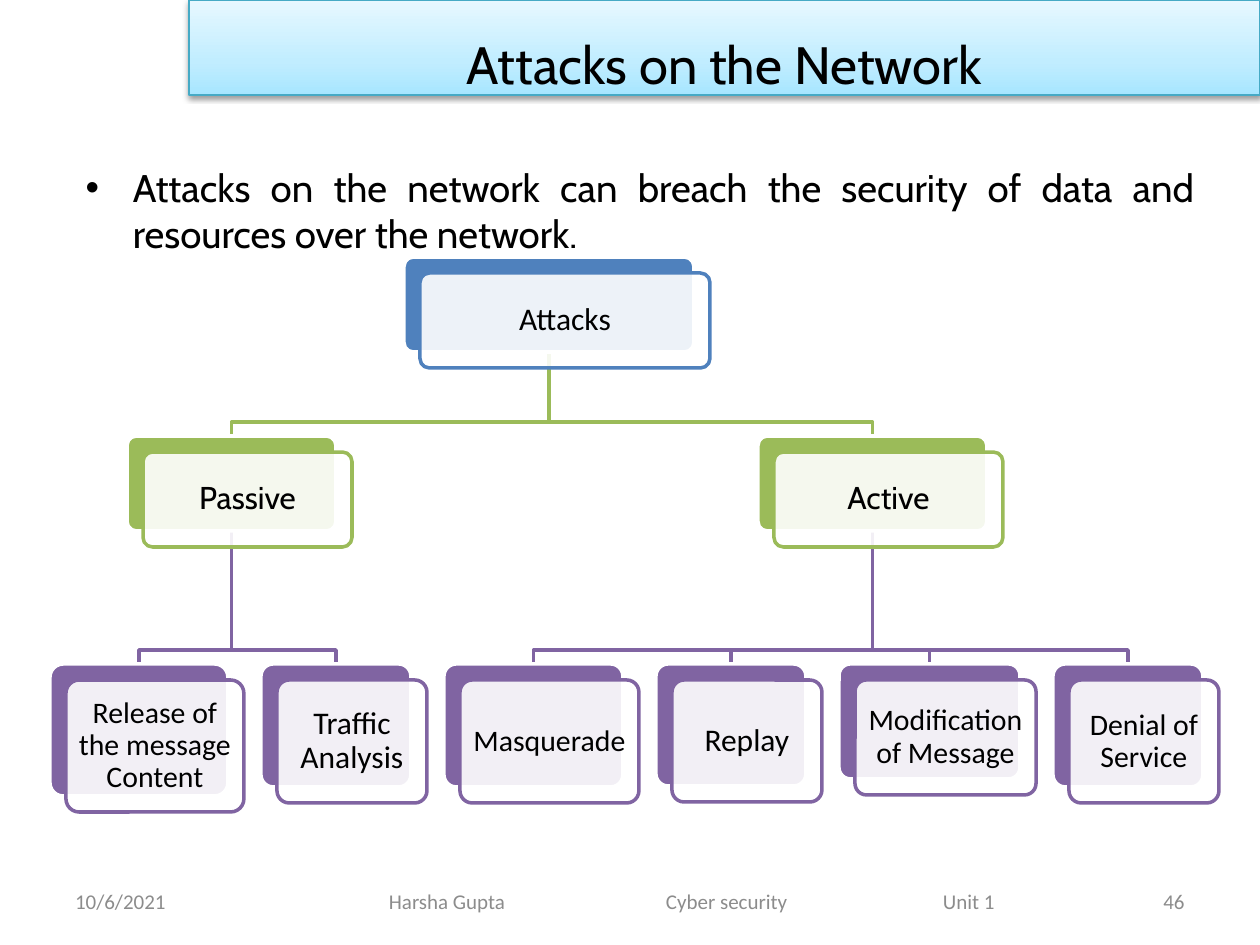
from lxml import etree
from pptx import Presentation
from pptx import util as u
from pptx.dml.color import RGBColor
from pptx.enum import shapes, text
from pptx.oxml import parse_xml
from pptx.oxml.ns import nsdecls, qn

TITLE = "Attacks on the Network"
BODY = "Attacks on the network can breach the security of data and resources over the network."
FOOTER = ["Harsha Gupta", "Cyber security", "Unit 1"]
FOOTER_STEP = 277

# top of each tree level, its colour
LEVELS = [(257, "4F81BD"), (436, "9BBB59"), (664, "8064A2")]
# key: (label, parent, level, left, width, height, size, font)
NODES = {
    "attacks": ("Attacks", None, 0, 404, 290, 95, 18, "Calibri"),
    "passive": ("Passive", "attacks", 1, 127, 209, 95, 18, "Cabin"),
    "active": ("Active", "attacks", 1, 758, 229, 95, 18, "Cabin"),
    "release": ("Release of the message Content", "passive", 2, 50, 178, 132, 17, "Calibri"),
    "traffic": ("Traffic Analysis", "passive", 2, 261, 150, 123, 18, "Calibri"),
    "masquerade": ("Masquerade", "active", 2, 444, 179, 123, 17, "Calibri"),
    "replay": ("Replay", "active", 2, 656, 150, 122, 18, "Calibri"),
    "modification": ("Modification of Message", "active", 2, 839, 181, 115, 17, "Calibri"),
    "denial": ("Denial of Service", "active", 2, 1053, 150, 123, 17, "Calibri"),
}
CARD_SHIFT = 16   # front card against its back card
ELBOW_RISE = 14   # crossbar above the child boxes

prs = Presentation()
prs.slide_width, prs.slide_height = u.Inches(10), u.Inches(7.5)
slide = prs.slides.add_slide(prs.slide_layouts[1])


def px(n):
    return round(n * 914400 / 126)


def rgb(c):
    return RGBColor.from_string(c)


def place(sp, *box):
    sp.left, sp.top, sp.width, sp.height = map(px, box)


def add_run(p, s, size, font="Calibri", color="000000"):
    r = p.add_run()
    r.text = s
    r.font.size, r.font.name = u.Pt(size), font
    r.font.color.rgb = rgb(color)


def add_title():
    sp = slide.shapes.title
    place(sp, 189, 0, 1071, 95)
    spPr = sp._element.spPr
    stops = "".join(f'<a:gs pos="{pos}000"><a:srgbClr val="{c}"/></a:gs>'
                    for pos, c in ((0, "A7E6FF"), (35, "C1EDFF"), (100, "E7F8FF")))
    for xml in (
        f'<a:prstGeom {nsdecls("a")} prst="rect"><a:avLst/></a:prstGeom>',
        f'<a:gradFill {nsdecls("a")} rotWithShape="1"><a:gsLst>{stops}</a:gsLst>'
        '<a:lin ang="16200000" scaled="1"/></a:gradFill>',
    ):
        spPr.append(parse_xml(xml))
    sp.line.color.rgb, sp.line.width = rgb("46AAC5"), u.Pt(0.75)
    spPr.append(parse_xml(
        f'<a:effectLst {nsdecls("a")}><a:outerShdw blurRad="40000" dist="20000" dir="5400000" '
        'rotWithShape="0"><a:srgbClr val="000000"><a:alpha val="38000"/></a:srgbClr>'
        '</a:outerShdw></a:effectLst>'))
    tf = sp.text_frame
    tf.auto_size, tf.vertical_anchor = text.MSO_AUTO_SIZE.NONE, text.MSO_ANCHOR.MIDDLE
    p = tf.paragraphs[0]
    p.alignment, p.line_spacing = text.PP_ALIGN.CENTER, 1.5
    add_run(p, TITLE, 30, "Cabin")


def add_body():
    sp = slide.placeholders[1]
    place(sp, 73, 158, 1134, 669)
    sp.text_frame.auto_size = text.MSO_AUTO_SIZE.NONE
    p = sp.text_frame.paragraphs[0]
    p.alignment = text.PP_ALIGN.JUSTIFY
    p.space_before = u.Pt(0)
    add_run(p, BODY, 22, "Cabin")


def add_footer(left, width, s, align, indent=12, tabs=()):
    sp = slide.shapes.add_textbox(px(left), px(876), px(width), px(50))
    tf = sp.text_frame
    tf.word_wrap, tf.vertical_anchor = True, text.MSO_ANCHOR.MIDDLE
    tf.margin_left = px(indent)
    p = tf.paragraphs[0]
    p.alignment = align
    if tabs:
        tab_list = etree.SubElement(p._p.get_or_add_pPr(), qn("a:tabLst"))
        for t in tabs:
            etree.SubElement(tab_list, qn("a:tab"), pos=str(px(t)), algn="l")
    add_run(p, s, 12, color="8C8C8C")


def add_elbow(parent, child):
    _, _, up, x0, w0, h0, *_ = NODES[parent]
    _, _, level, x1, w1, *_ = NODES[child]
    top, color = LEVELS[level]
    start, end = x0 + w0 / 2, x1 + w1 / 2
    bar = top - ELBOW_RISE
    fb = slide.shapes.build_freeform(px(start), px(LEVELS[up][0] + h0))
    fb.add_line_segments([(px(x), px(y)) for x, y in
                          ((start, bar), (end, bar), (end, top))], close=False)
    sp = fb.convert_to_shape()
    sp.fill.background()
    sp.line.color.rgb, sp.line.width = rgb(color), u.Pt(2)
    sp.shadow.inherit = False


def add_card(x, y, w, h, fill, line):
    sp = slide.shapes.add_shape(shapes.MSO_SHAPE.ROUNDED_RECTANGLE, *map(px, (x, y, w, h)))
    sp.adjustments[0] = 0.1
    sp.shadow.inherit = False
    sp.fill.solid()
    sp.fill.fore_color.rgb = rgb(fill)
    sp.line.color.rgb, sp.line.width = rgb(line), u.Pt(2)
    return sp


def add_node(label, parent, level, x, w, h, size, font):
    y, color = LEVELS[level]
    add_card(x, y, w, h, color, "FFFFFF")
    sp = add_card(x + CARD_SHIFT, y + CARD_SHIFT, w, h, "FFFFFF", color)
    fill = sp._element.spPr.find(qn("a:solidFill"))
    etree.SubElement(fill[0], qn("a:alpha"), val="90000")
    tf = sp.text_frame
    tf.word_wrap, tf.vertical_anchor = True, text.MSO_ANCHOR.MIDDLE
    tf.margin_left = tf.margin_right = tf.margin_top = tf.margin_bottom = px(8)
    p = tf.paragraphs[0]
    p.alignment, p.line_spacing = text.PP_ALIGN.CENTER, 0.9
    add_run(p, label, size, font)


add_title()
add_body()
add_footer(63, 294, "10/6/2021", text.PP_ALIGN.LEFT)
add_footer(346, 693, "\t".join(FOOTER), text.PP_ALIGN.LEFT, 43,
           [FOOTER_STEP * i for i in range(1, len(FOOTER))])
add_footer(903, 294, "46", text.PP_ALIGN.RIGHT)
for key, node in reversed(NODES.items()):
    if node[1]:
        add_elbow(node[1], key)
for node in NODES.values():
    add_node(*node)
prs.save("out.pptx")
